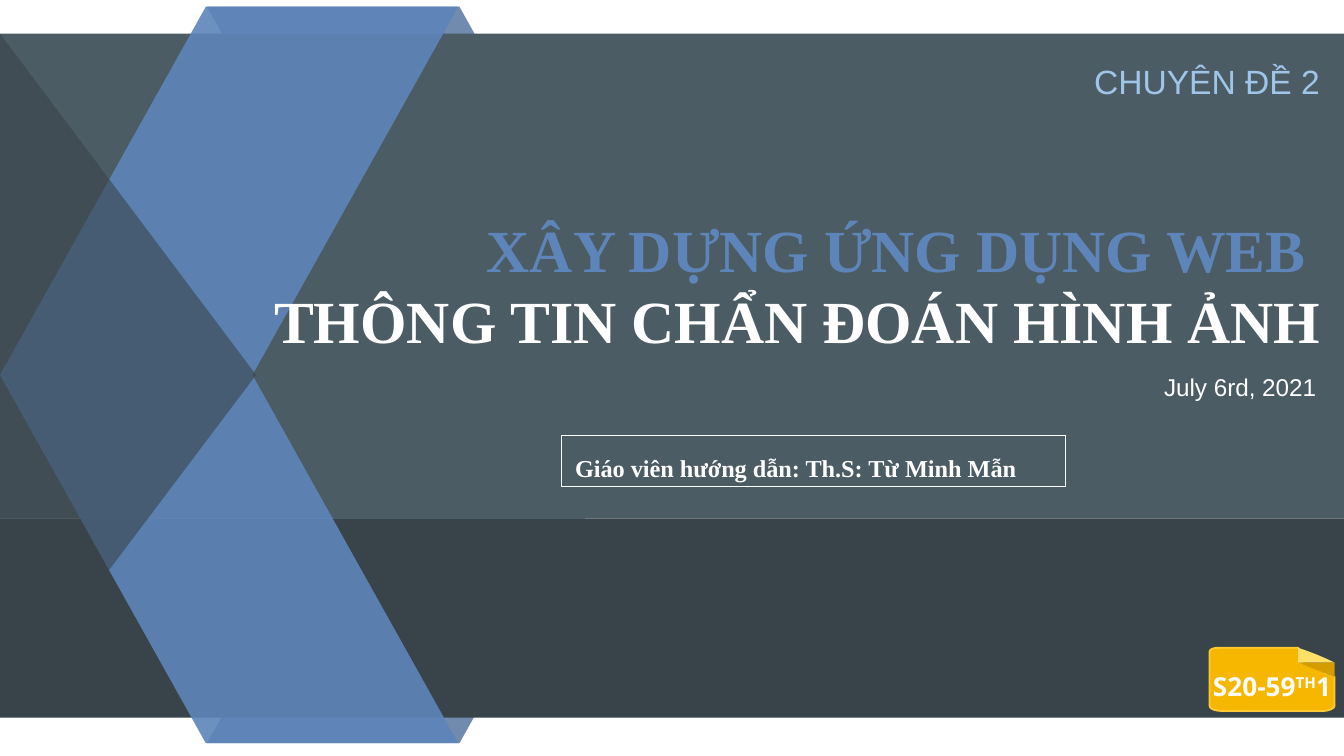
from dataclasses import dataclass
from typing import Optional

from lxml.etree import SubElement
from pptx import Presentation
from pptx.dml.color import RGBColor
from pptx.enum.shapes import MSO_SHAPE
from pptx.enum.text import MSO_ANCHOR, PP_ALIGN
from pptx.oxml.ns import qn
from pptx.util import Inches, Pt

WHITE = "FFFFFF"
BLUE = "5E85B9"
FOLD_BLUE = "4E6E9A"
SLATE = "4C5C64"
DARK_SLATE = "38444A"
SKY = "9FC5E8"

RIBBON_TOP, RIBBON_MIDDLE = 0.05, 2.79
RIBBON_SLANT = 0.559


@dataclass
class Block:
    preset: MSO_SHAPE
    left: float
    top: float
    width: float
    height: float
    color: str
    opacity: int = 100
    rotation: int = 0
    flipped: bool = False
    adjustment: Optional[float] = None


@dataclass
class Run:
    text: str
    color: str = WHITE
    raised: bool = False


@dataclass
class TextStyle:
    font: str
    size: int
    align: PP_ALIGN = PP_ALIGN.RIGHT
    bold: bool = False
    line_spacing: float = 1.15
    space_after: int = 16
    inset: float = 0.1
    anchor: MSO_ANCHOR = MSO_ANCHOR.TOP


@dataclass
class BadgePart:
    """A start point, then steps of one point (line) or three (curve)."""
    start: tuple
    steps: list
    color: str
    outline: Optional[str] = None


BACKDROP = [
    Block(MSO_SHAPE.PARALLELOGRAM, 1.54, RIBBON_MIDDLE, 3.41, 2.74, FOLD_BLUE, 80, 180, False, RIBBON_SLANT),
    Block(MSO_SHAPE.PARALLELOGRAM, 1.54, RIBBON_TOP, 3.41, 2.74, FOLD_BLUE, 80, 180, True, RIBBON_SLANT),
    Block(MSO_SHAPE.RECTANGLE, -0.01, 0.25, 10.01, 3.61, SLATE),
    Block(MSO_SHAPE.RECTANGLE, -0.01, 3.86, 10.01, 1.48, DARK_SLATE),
    Block(MSO_SHAPE.PARALLELOGRAM, 0, RIBBON_TOP, 3.41, 2.74, BLUE, 91, 0, False, RIBBON_SLANT),
    Block(MSO_SHAPE.PARALLELOGRAM, 0, RIBBON_MIDDLE, 3.41, 2.74, BLUE, 91, 0, True, RIBBON_SLANT),
    Block(MSO_SHAPE.ISOSCELES_TRIANGLE, -1.59, 1.83, 5.08, 1.91, DARK_SLATE, 60, 90, False, 0.501),
]

BADGE = [
    BadgePart((9.91, 5.03), [
        [(9.93, 5.03), (9.93, 5.04), (9.93, 5.04)], [(9.93, 5.25)],
        [(9.93, 5.27), (9.89, 5.29), (9.85, 5.29)], [(9.09, 5.29)],
        [(9.03, 5.29), (9, 5.27), (9, 5.25)], [(9, 4.85)],
        [(9, 4.83), (9.03, 4.82), (9.08, 4.82)], [(9.65, 4.82)],
        [(9.67, 4.82), (9.67, 4.84), (9.67, 4.85)], [(9.67, 4.92)],
        [(9.67, 4.93), (9.69, 4.94), (9.7, 4.94)],
        [(9.76, 4.96), (9.81, 4.98), (9.85, 5)],
        [(9.86, 5.01), (9.87, 5.01), (9.9, 5.02)],
    ], "F7B600", "FFC92F"),
    BadgePart((9.66, 4.93), [[(9.66, 4.82)], [(9.75, 4.85), (9.85, 4.89), (9.93, 4.93)]], "FEE068"),
    BadgePart((9.66, 4.93), [[(9.93, 4.93)], [(9.93, 5.04)],
                             [(9.92, 5.03), (9.7, 4.95), (9.66, 4.93)]], "D59D00"),
]


def rgb(color: str) -> RGBColor:
    return RGBColor.from_string(color)


def paint(shape, color: str, opacity: int = 100, outline: Optional[str] = None) -> None:
    shape.shadow.inherit = False
    shape.fill.solid()
    shape.fill.fore_color.rgb = rgb(color)
    if opacity < 100:
        fill = shape.fill._xPr.find(qn("a:solidFill"))
        SubElement(fill[0], qn("a:alpha")).set("val", str(opacity * 1000))
    if outline:
        shape.line.color.rgb = rgb(outline)
        shape.line.width = Pt(1)
    else:
        shape.line.fill.background()


def add_block(slide, block: Block) -> None:
    shape = slide.shapes.add_shape(block.preset, Inches(block.left), Inches(block.top),
                                   Inches(block.width), Inches(block.height))
    if block.adjustment is not None:
        shape.adjustments[0] = block.adjustment
    shape.rotation = block.rotation
    if block.flipped:
        shape._element.spPr.find(qn("a:xfrm")).set("flipH", "1")
    paint(shape, block.color, block.opacity)


def curve_points(start: tuple, controls: list, count: int = 6) -> list:
    """Sample a cubic Bézier curve, leaving out its start."""
    corners = [start, *controls]
    points = []
    for step in range(1, count + 1):
        t = step / count
        weights = ((1 - t) ** 3, 3 * t * (1 - t) ** 2, 3 * t * t * (1 - t), t ** 3)
        points.append(tuple(sum(w * c[axis] for w, c in zip(weights, corners)) for axis in (0, 1)))
    return points


def add_badge_part(slide, part: BadgePart) -> None:
    outline = [part.start]
    for step in part.steps:
        outline += curve_points(outline[-1], step) if len(step) == 3 else step
    start, *corners = [(Inches(x), Inches(y)) for x, y in outline]
    builder = slide.shapes.build_freeform(*start)
    builder.add_line_segments(corners, close=True)
    paint(builder.convert_to_shape(), part.color, outline=part.outline)


def add_text(slide, left: float, top: float, width: float, height: float,
             lines: list[list[Run]], style: TextStyle):
    box = slide.shapes.add_textbox(Inches(left), Inches(top), Inches(width), Inches(height))
    frame = box.text_frame
    frame.word_wrap = True
    frame.vertical_anchor = style.anchor
    frame.margin_left = frame.margin_right = Inches(style.inset)
    frame.margin_top = frame.margin_bottom = Inches(style.inset)
    paragraph = frame.paragraphs[0]
    paragraph.alignment = style.align
    paragraph.line_spacing = style.line_spacing
    paragraph.space_after = Pt(style.space_after)
    for number, line in enumerate(lines):
        if number:
            paragraph.add_line_break()
        for part in line:
            run = paragraph.add_run()
            run.text = part.text
            run.font.name = style.font
            run.font.size = Pt(style.size)
            run.font.bold = style.bold
            run.font.color.rgb = rgb(part.color)
            if part.raised:
                run.font._element.set("baseline", "30000")
    return box


def main() -> None:
    presentation = Presentation()
    presentation.slide_width = Inches(10)
    presentation.slide_height = Inches(10) * 9 // 16
    slide = presentation.slides.add_slide(presentation.slide_layouts[6])

    for block in BACKDROP:
        add_block(slide, block)

    add_text(slide, 1.9, 1.48, 8.03, 1,
             [[Run("XÂY DỰNG ỨNG DỤNG WEB ", BLUE)], [Run("THÔNG TIN CHẨN ĐOÁN HÌNH ẢNH")]],
             TextStyle("Times New Roman", 32, bold=True, line_spacing=1.0, space_after=0))
    add_text(slide, 5.28, 0.31, 4.64, 0.43, [[Run("CHUYÊN ĐỀ 2", SKY)]], TextStyle("Arial", 18))
    add_text(slide, 8.27, 2.64, 1.67, 0.45, [[Run("July 6rd, 2021 ")]], TextStyle("Arial", 13))

    for part in BADGE:
        add_badge_part(slide, part)
    add_text(slide, 9, 4.99, 0.93, 0.23, [[Run("S20-59"), Run("TH", raised=True), Run("1")]],
             TextStyle("Open Sans", 14, PP_ALIGN.CENTER, True, 1.0, 0, 0, MSO_ANCHOR.MIDDLE))

    teacher = add_text(slide, 4.18, 3.24, 3.75, 0.38, [[Run("Giáo viên hướng dẫn: Th.S: Từ Minh Mẫn")]],
                       TextStyle("Times New Roman", 13, PP_ALIGN.LEFT, True))
    teacher.line.color.rgb = rgb(WHITE)
    teacher.line.width = Pt(0.75)

    presentation.save("out.pptx")


if __name__ == "__main__":
    main()
